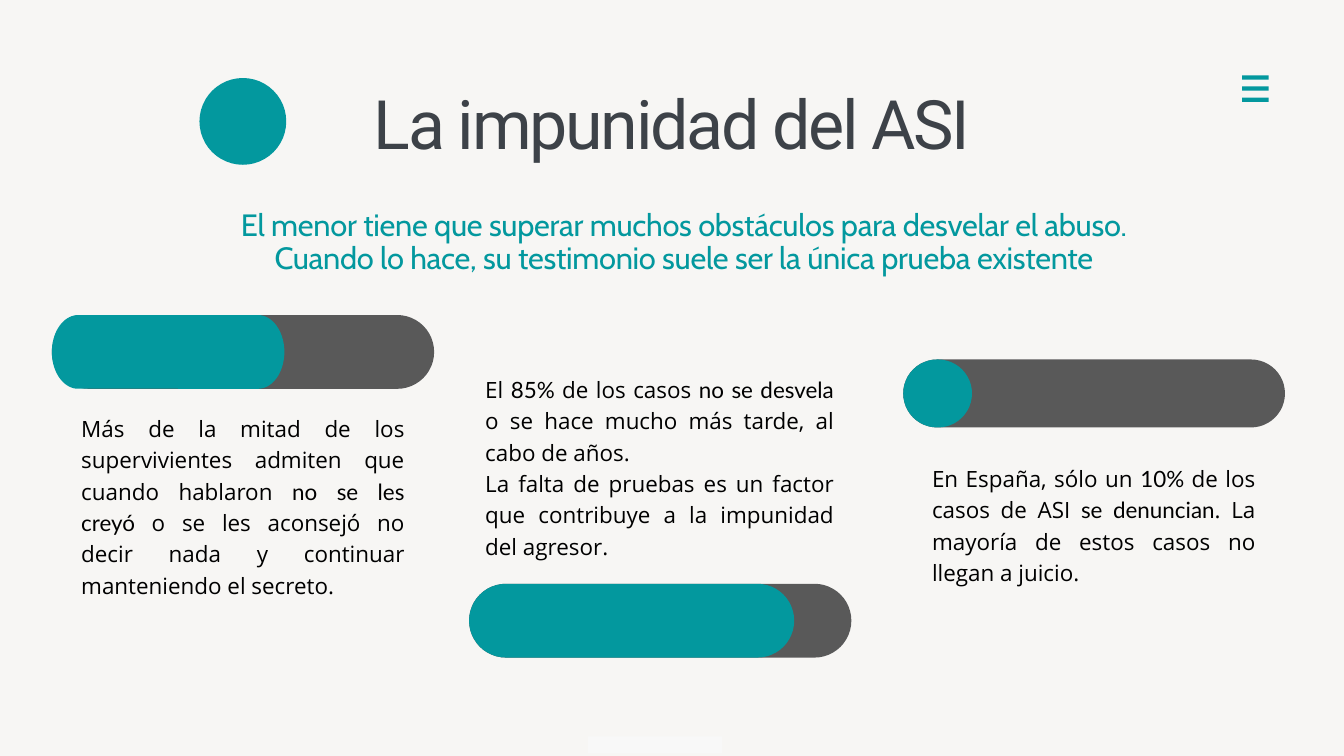
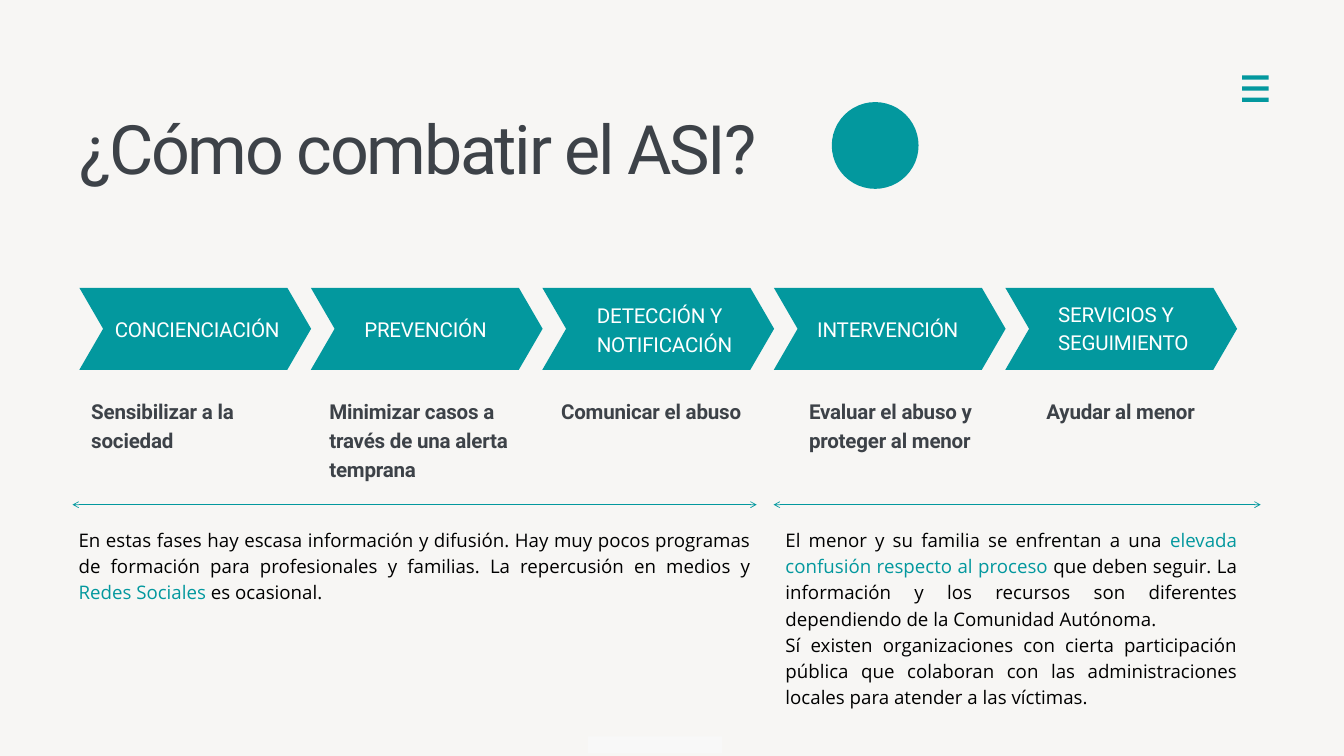
import math

import pptx
import pptx.dml.color
import pptx.enum.shapes
import pptx.enum.text
import pptx.oxml
import pptx.oxml.ns
import pptx.util

Cm, Pt = pptx.util.Cm, pptx.util.Pt
Kind = pptx.enum.shapes.MSO_SHAPE
Align = pptx.enum.text.PP_ALIGN

HUES = {"back": "F7F6F4", "teal": "03989E", "ink": "3D4248", "gray": "595959",
        "black": "000000", "white": "FFFFFF", "foot": "F8F8F8"}

FRAME = {"margin_left": 0, "margin_right": 0, "margin_top": 0, "margin_bottom": 0,
         "word_wrap": True, "auto_size": pptx.enum.text.MSO_AUTO_SIZE.NONE,
         "vertical_anchor": pptx.enum.text.MSO_ANCHOR.TOP}

# Each style: font values, colour, letter spacing (1/100 pt), line pitch (pt)
STYLES = {
    "title": ({"name": "Roboto", "size": Pt(73)}, "ink", -240, 88),
    "lead": ({"name": "Cabin", "size": Pt(33)}, "teal", -30, 35),
    "fact": ({"name": "Open Sans", "size": Pt(24)}, "black", 0, 33.6),
    "body": ({"name": "Open Sans", "size": Pt(20)}, "black", 0, 28),
    "step": ({"name": "Roboto", "size": Pt(22)}, "white", -20, 30.8),
    "goal": ({"name": "Roboto", "size": Pt(22), "bold": True}, "ink", -20, 30.8),
}
# How text between asterisks differs: font values, colour
MARKS = {"fact": ({"name": "Lato"}, "black"), "body": ({}, "teal")}

FACTS = [  # text box, text
    ((3.07, 15.52, 12.22, 7.19),
     ["Más de la mitad de los supervivientes admiten que cuando hablaron "
      "*no se les creyó *o se les aconsejó no decir nada y continuar "
      "manteniendo el secreto."]),
    ((18.34, 14.05, 13.18, 7.19),
     ["El *85% *de los casos *no se desvela* o se hace mucho más tarde, "
      "al cabo de años.",
      "La falta de pruebas es un factor que contribuye a la impunidad "
      "del agresor."]),
    ((35.23, 17.42, 12.22, 5.97),
     ["En España, sólo un *10% *de los casos de ASI *se denuncian*. La "
      "mayoría de estos casos no llegan a juicio."]),
]

STEPS = [  # label, its left and top, goal, its left
    ("CONCIENCIACIÓN", 4.34, 11.84, "Sensibilizar a la sociedad", 3.45),
    ("PREVENCIÓN", 13.77, 11.84,
     "Minimizar casos a través de una alerta temprana", 12.45),
    ("DETECCIÓN Y NOTIFICACIÓN", 22.56, 11.3, "Comunicar el abuso", 21.21),
    ("INTERVENCIÓN", 30.89, 11.84, "Evaluar el abuso y proteger al menor", 30.58),
    ("SERVICIOS Y SEGUIMIENTO", 40, 11.25, "Ayudar al menor", 39.55),
]

PHASES = [  # text box, arrow ends, text
    ((2.97, 19.86, 25.4, 2.92), (2.74, 28.6),
     ["En estas fases hay escasa información y difusión. Hay muy pocos "
      "programas de formación para profesionales y familias. La repercusión "
      "en medios y *Redes Sociales *es ocasional."]),
    ((29.69, 19.86, 17.07, 6.91), (29.24, 47.65),
     ["El menor y su familia se enfrentan a una *elevada confusión respecto "
      "al proceso* que deben seguir. La información y los recursos son "
      "diferentes dependiendo de la Comunidad Autónoma.",
      "Sí existen organizaciones con cierta participación pública que "
      "colaboran con las administraciones locales para atender a las "
      "víctimas."]),
]


def assign(item, vals):
    for key, val in vals.items():
        setattr(item, key, val)


def tint(hue):
    return pptx.dml.color.RGBColor.from_string(HUES[hue])


def paint(shape, hue):
    shape.shadow.inherit = False
    shape.fill.solid()
    shape.fill.fore_color.rgb = tint(hue)
    shape.line.fill.background()
    return shape


def block(slide, kind, box, hue="teal"):
    return paint(slide.shapes.add_shape(kind, *map(Cm, box)), hue)


def write(shape, lines, style, align):
    """Fill a shape with paragraphs; text between asterisks is marked."""
    face, hue, gap, pitch = STYLES[style]
    frame = shape.text_frame
    assign(frame, FRAME)
    for num, line in enumerate(lines):
        para = frame.add_paragraph() if num else frame.paragraphs[0]
        assign(para, {"alignment": align, "line_spacing": Pt(pitch),
                      "space_before": Pt(0), "space_after": Pt(0)})
        for pos, part in enumerate(line.split("*")):
            extra, shade = MARKS[style] if pos % 2 else ({}, hue)
            run = para.add_run()
            run.text = part
            assign(run.font, {**face, **extra})
            run.font.color.rgb = tint(shade)
            run.font._element.set("spc", str(gap))


def label(slide, box, lines, style, align=Align.LEFT):
    write(slide.shapes.add_textbox(*map(Cm, box)), lines, style, align)


def fill(holder, box, lines, style, align):
    """Move a placeholder and write its text without bullets."""
    assign(holder, dict(zip(("left", "top", "width", "height"), map(Cm, box))))
    write(holder, lines, style, align)
    for para in holder.text_frame.paragraphs:
        props = para._p.get_or_add_pPr()
        props.set("marL", "0")
        props.set("indent", "0")
        props.append(pptx.oxml.parse_xml(
            f'<a:buNone {pptx.oxml.ns.nsdecls("a")}/>'))


def start(deck, layout, title, box, align, dot):
    """Add a slide with menu icon, foot band, title and dot."""
    slide = deck.slides.add_slide(deck.slide_layouts[layout])
    for row in range(3):
        block(slide, Kind.RECTANGLE, (46.95, 2.85 + row * 0.42, 1, 0.16))
    block(slide, Kind.RECTANGLE, (22.22, 27.84, 5.08, 0.64), "foot")
    fill(slide.shapes.title, box, [title], "title", align)
    block(slide, Kind.OVAL, (*dot, 3.28, 3.28))
    return slide


def pill(slide, box, hue):
    block(slide, Kind.ROUNDED_RECTANGLE, box, hue).adjustments[0] = 0.5


def capsule(slide, left, top, width, height, bend):
    """Draw a bar whose ends are half ellipses of the given depth."""
    points = []
    for turn in range(-90, 270, 5):
        angle = math.radians(turn)
        base = left + width - bend if turn <= 90 else left + bend
        points.append((Cm(base + bend * math.cos(angle)),
                       Cm(top + height / 2 * (1 + math.sin(angle)))))
    path = slide.shapes.build_freeform(*points[0])
    path.add_line_segments(points[1:])
    paint(path.convert_to_shape(), "teal")


def arrow(slide, left, right, top):
    line = slide.shapes.add_connector(
        pptx.enum.shapes.MSO_CONNECTOR.STRAIGHT, *map(Cm, (left, top, right, top)))
    line.line.color.rgb = tint("teal")
    line.line.width = Pt(0.75)
    space = pptx.oxml.ns.nsdecls("a")
    for end in ("headEnd", "tailEnd"):
        line.line._ln.append(pptx.oxml.parse_xml(f'<a:{end} {space} type="arrow"/>'))
    line._element.spPr.append(pptx.oxml.parse_xml(f"<a:effectLst {space}/>"))


def impunity(deck):
    slide = start(deck, 1, "La impunidad del ASI", (6.91, 3.05, 36.98, 3),
                  Align.CENTER, (7.54, 2.95))
    fill(slide.placeholders[1], (4.24, 7.95, 43.21, 2.5),
         ["El menor tiene que superar muchos obstáculos para desvelar el abuso.",
          "Cuando lo hace, su testimonio suele ser la única prueba existente"],
         "lead", Align.CENTER)
    pill(slide, (1.96, 11.91, 14.45, 2.79), "gray")
    capsule(slide, 1.96, 11.91, 8.79, 2.79, 1)
    for left, top, width, height, part in ((17.73, 22.07, 14.45, 2.79, 12.29),
                                           (34.14, 13.59, 14.43, 2.57, 2.6)):
        pill(slide, (left, top, width, height), "gray")
        pill(slide, (left, top, part, height), "teal")
    for box, lines in FACTS:
        label(slide, box, lines, "fact", Align.JUSTIFY)


def action(deck):
    slide = start(deck, 5, "¿Cómo combatir el ASI?", (3, 3.99, 45.08, 3),
                  Align.LEFT, (31.44, 3.86))
    for num, (name, left, top, goal, edge) in enumerate(STEPS):
        step = block(slide, Kind.CHEVRON, (3 + num * 8.75, 10.88, 8.76, 3.1))
        step.adjustments[0] = 0.29
        label(slide, (left, top, 7.24, 2.08), [name], "step")
        label(slide, (edge, 14.94, 7.24, 3.23), [goal], "goal")
    for box, ends, lines in PHASES:
        arrow(slide, *ends, 19.08)
        label(slide, box, lines, "body", Align.JUSTIFY)


def main():
    deck = pptx.Presentation()
    assign(deck, {"slide_width": Cm(50.8), "slide_height": Cm(28.58)})
    back = deck.slide_master.background.fill
    back.solid()
    back.fore_color.rgb = tint("back")
    impunity(deck)
    action(deck)
    deck.save("out.pptx")


if __name__ == "__main__":
    main()
